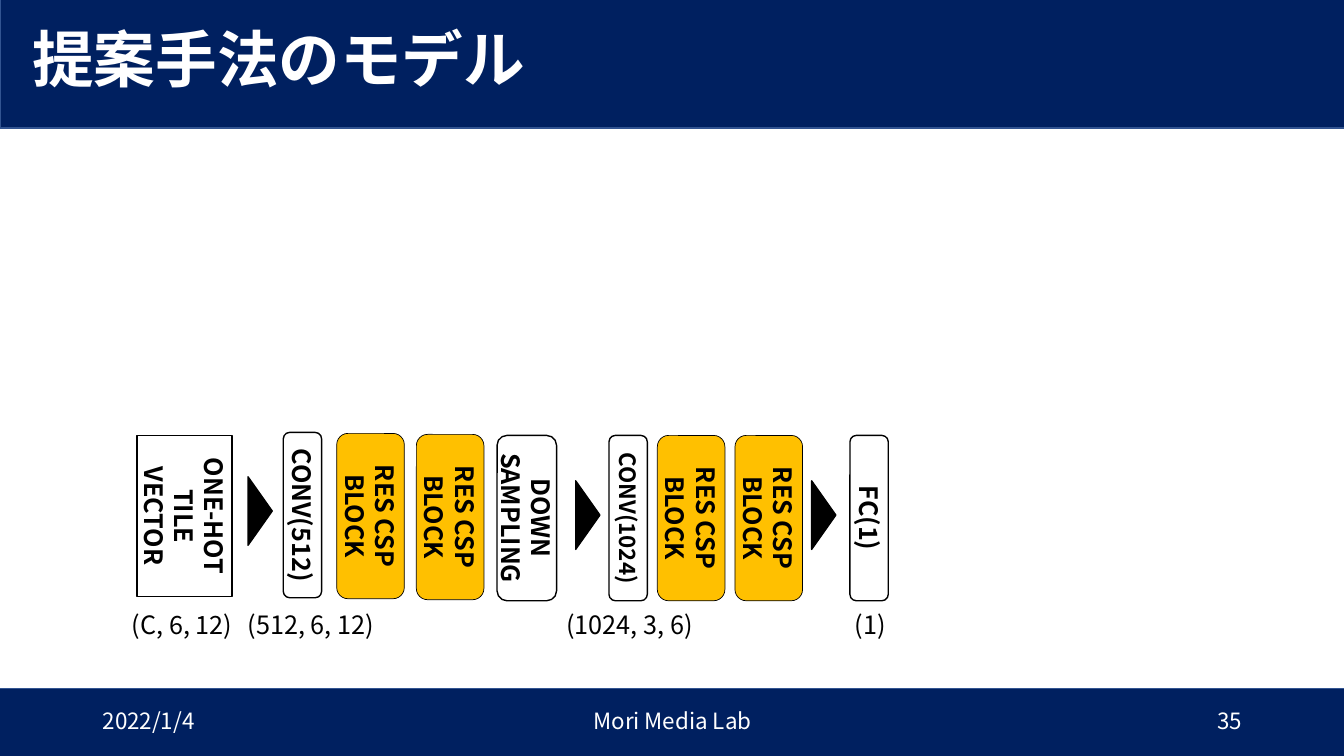
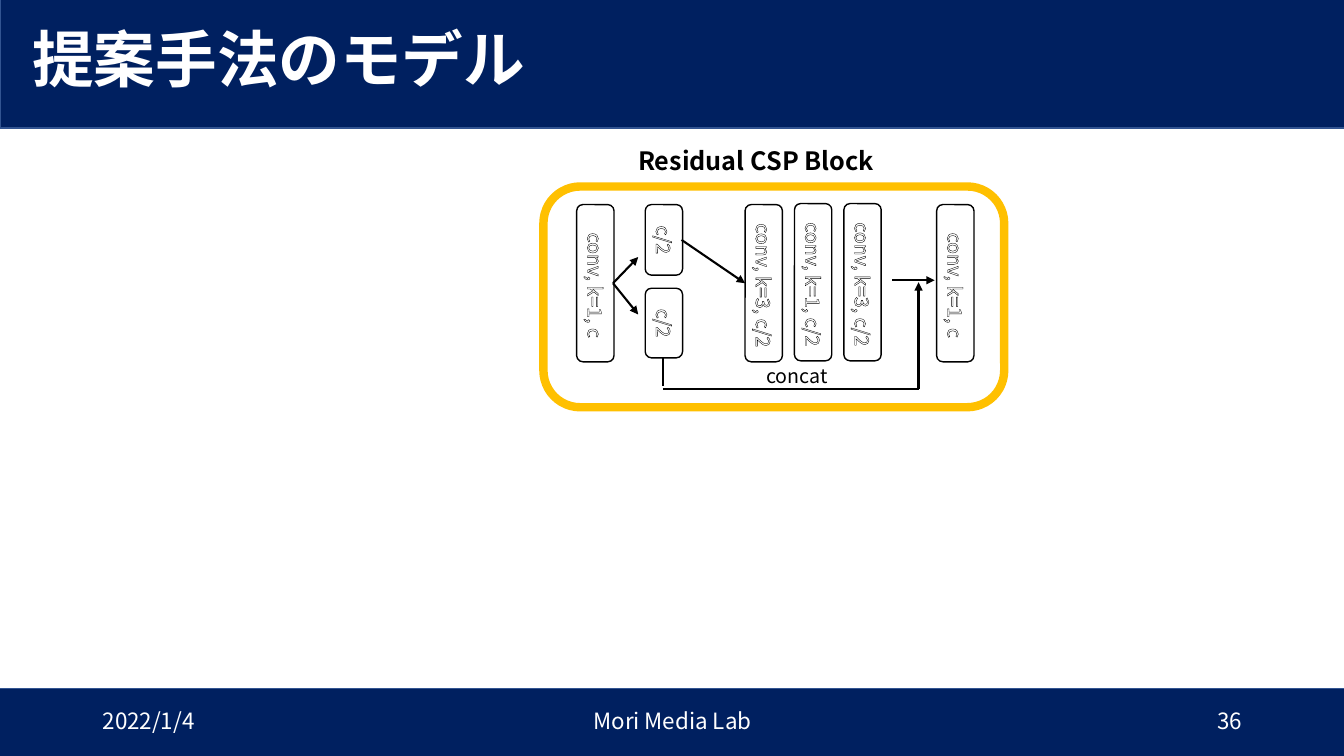
from lxml import etree
from pptx import Presentation
from pptx.dml.color import RGBColor
from pptx.enum.shapes import MSO_CONNECTOR, MSO_SHAPE
from pptx.enum.text import MSO_ANCHOR, PP_ALIGN
from pptx.oxml.ns import qn
from pptx.util import Inches, Pt

RECT = MSO_SHAPE.RECTANGLE
ROUND = MSO_SHAPE.ROUNDED_RECTANGLE
TRIANGLE = MSO_SHAPE.ISOSCELES_TRIANGLE
STRAIGHT = MSO_CONNECTOR.STRAIGHT
TOP, MIDDLE = MSO_ANCHOR.TOP, MSO_ANCHOR.MIDDLE
LEFT, CENTER, RIGHT = PP_ALIGN.LEFT, PP_ALIGN.CENTER, PP_ALIGN.RIGHT

THEME = {
    "font": "Noto Sans CJK JP",
    "navy": RGBColor.from_string("002060"),
    "edge": RGBColor.from_string("325491"),
    "amber": RGBColor.from_string("FFC000"),
    "white": RGBColor.from_string("FFFFFF"),
    "black": RGBColor.from_string("000000"),
    "title": {"size": Pt(44), "bold": True},
    "footer": {"size": Pt(16), "bold": False},
    "block": {"size": Pt(18), "bold": True},
    "tight": {"size": Pt(16), "bold": True},
    "label": {"size": Pt(18), "bold": False},
    "small": {"size": Pt(14), "bold": False},
}


def put_text(sp, text, style, color="black", align=LEFT, anchor=MIDDLE,
             vertical=False, outline=False):
    tf = sp.text_frame
    tf.word_wrap = True
    tf.vertical_anchor = anchor
    tf.text = text
    if vertical:
        tf._txBody.bodyPr.set("vert", "vert")
    for p in tf.paragraphs:
        p.alignment = align
        for r in p.runs:
            for key, value in THEME[style].items():
                setattr(r.font, key, value)
            r.font.name = THEME["font"]
            r.font.color.rgb = THEME[color]
            rpr = r.font._element
            ea = etree.Element(qn("a:ea"), typeface=THEME["font"])
            rpr.find(qn("a:latin")).addnext(ea)
            if outline:
                ln = etree.Element(qn("a:ln"), w=str(Pt(0.75)))
                fill = etree.SubElement(ln, qn("a:solidFill"))
                etree.SubElement(fill, qn("a:srgbClr"), val=str(THEME["black"]))
                rpr.insert(0, ln)


def add_box(s, kind, at, fill=None, line="black", width=1):
    sp = s.shapes.add_shape(kind, *map(Inches, at))
    sp.shadow.inherit = False
    if fill:
        sp.fill.solid()
        sp.fill.fore_color.rgb = THEME[fill]
    else:
        sp.fill.background()
    sp.line.color.rgb = THEME[line]
    sp.line.width = Pt(width)
    return sp


prs = Presentation()
prs.slide_width, prs.slide_height = Inches(13.33), Inches(7.5)
layout = prs.slide_layouts[5]
model, block = slides = [prs.slides.add_slide(layout) for _ in range(2)]

bands = [(-0.01, 6.83, 13.39, 0.73), (0, -0.02, 13.39, 1.29)]
for i, at in enumerate(bands):
    sp = add_box(model, RECT, at, "navy", "edge")
    sp.element.nvSpPr.cNvPr.id = 20 + i
    layout.shapes.element.insert(2 + i, sp.element)

for number, s in enumerate(slides, 35):
    title = s.shapes.title
    title.left, title.top = Inches(0.22), Inches(0.09)
    title.width, title.height = Inches(12.94), Inches(1.07)
    put_text(title, "提案手法のモデル", "title", "white")
    title.text_frame.paragraphs[0].line_spacing = 0.9
    footers = [
        (0.92, 3, "2022/1/4", LEFT),
        (4.42, 4.5, "Mori Media Lab", CENTER),
        (9.42, 3, str(number), RIGHT),
    ]
    for x, w, text, align in footers:
        sp = s.shapes.add_textbox(Inches(x), Inches(6.95), Inches(w), Inches(0.4))
        put_text(sp, text, "footer", "white", align)

layers = [
    (RECT, (1.36, 4.32, 0.94, 1.6), "ONE-HOT\nTILE VECTOR", "block"),
    (ROUND, (2.81, 4.29, 0.38, 1.64), "CONV(512)", "block"),
    (ROUND, (4.93, 4.32, 0.59, 1.64), "DOWN SAMPLING", "block"),
    (ROUND, (6.04, 4.32, 0.38, 1.64), "CONV(1024)", "tight"),
    (ROUND, (8.43, 4.32, 0.38, 1.64), "FC(1)", "block"),
]
for kind, at, text, style in layers:
    sp = add_box(model, kind, at, "white")
    put_text(sp, text, style, align=CENTER, vertical=True)

for x, y in [(3.34, 4.3), (4.13, 4.31), (6.52, 4.32), (7.29, 4.32)]:
    sp = add_box(model, ROUND, (x, y, 0.67, 1.64), "amber", width=0.5)
    put_text(sp, "RES CSP BLOCK", "block", align=CENTER, vertical=True)

for x, y in [(2.24, 4.95), (5.49, 4.99), (7.83, 4.99)]:
    sp = add_box(model, TRIANGLE, (x, y, 0.68, 0.24), "black")
    sp.rotation = 90

captions = [
    (model, (1.21, 6, 1.56, 0.4), "(C, 6, 12)", "label"),
    (model, (2.36, 6, 1.56, 0.4), "(512, 6, 12)", "label"),
    (model, (5.52, 6, 1.56, 0.4), "(1024, 3, 6)", "label"),
    (model, (8.38, 6, 1.56, 0.4), "(1)", "label"),
    (block, (6.23, 1.39, 2.68, 0.4), "Residual CSP Block", "block"),
    (block, (7.5, 3.56, 0.86, 0.34), "concat", "small"),
]
for s, at, text, style in captions:
    sp = s.shapes.add_textbox(*map(Inches, at))
    put_text(sp, text, style, anchor=TOP)

add_box(block, ROUND, (5.39, 1.85, 4.57, 2.19), line="amber", width=6)

convs = [
    (5.72, 2.03, 1.56, "conv, k=1, c"),
    (6.4, 2.03, 0.7, "c/2"),
    (6.4, 2.86, 0.69, "c/2"),
    (7.39, 2.03, 1.56, "conv, k=3, c/2"),
    (7.88, 2.02, 1.56, "conv, k=1, c/2"),
    (8.37, 2.02, 1.56, "conv, k=3, c/2"),
    (9.29, 2.03, 1.56, "conv, k=1, c"),
]
for x, y, h, text in convs:
    sp = add_box(block, ROUND, (x, y, 0.37, h))
    put_text(sp, text, "small", "white", CENTER, vertical=True, outline=True)
    if text.startswith("conv"):
        sp.text_frame.margin_top = Inches(0.14)

links = [
    (6.08, 2.81, 6.33, 2.55, True),
    (6.08, 2.81, 6.33, 3.12, True),
    (6.76, 2.38, 7.39, 2.81, True),
    (8.85, 2.78, 9.27, 2.78, True),
    (6.58, 3.55, 6.58, 3.83, False),
    (9.11, 3.86, 6.58, 3.86, False),
    (9.11, 3.86, 9.11, 2.8, True),
]
for *ends, arrow in links:
    link = block.shapes.add_connector(STRAIGHT, *map(Inches, ends))
    link.line.color.rgb = THEME["black"]
    link.line.width = Pt(1.5)
    if arrow:
        etree.SubElement(link.line._get_or_add_ln(), qn("a:tailEnd"), type="triangle")
    etree.SubElement(link.element.spPr, qn("a:effectLst"))

prs.save("out.pptx")
